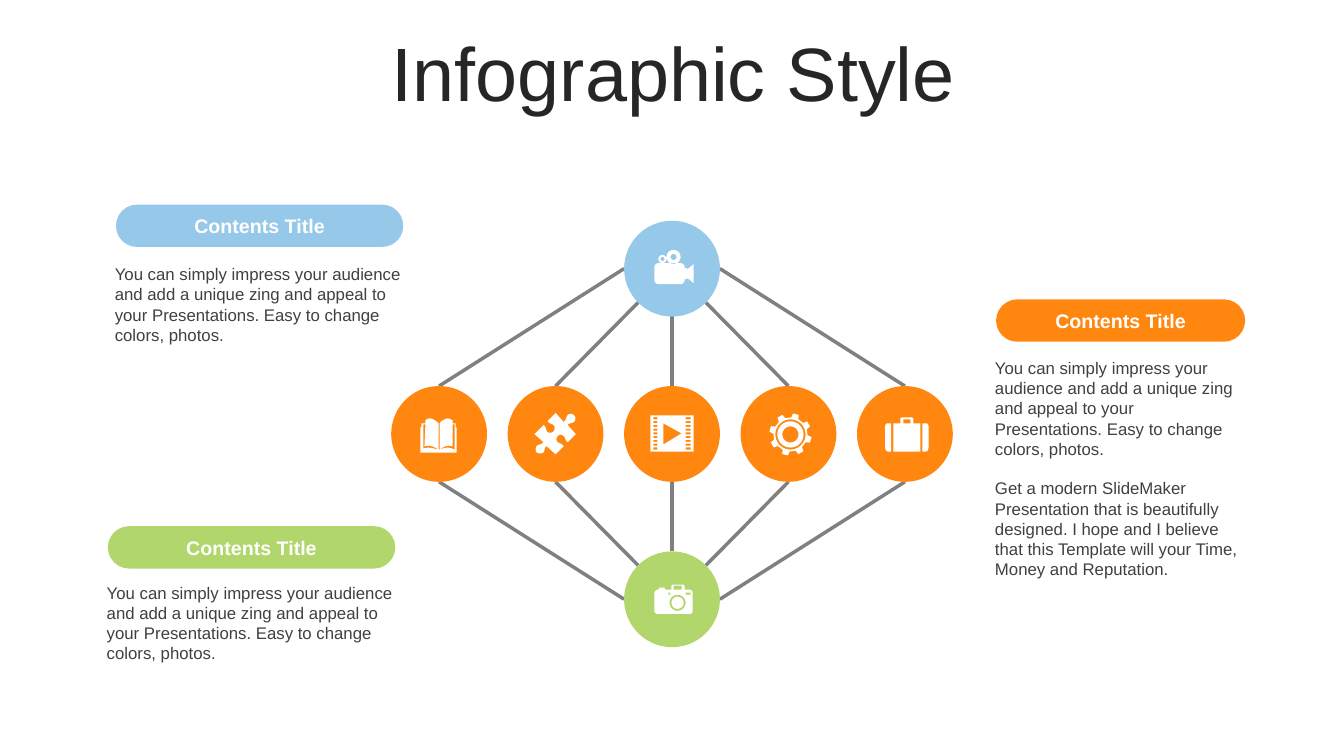
from dataclasses import dataclass
from math import cos, radians, sin

from lxml.etree import SubElement
from pptx import Presentation
from pptx.dml.color import RGBColor
from pptx.enum.shapes import MSO_CONNECTOR, MSO_SHAPE
from pptx.enum.text import MSO_ANCHOR, MSO_AUTO_SIZE, PP_ALIGN
from pptx.oxml.ns import qn
from pptx.util import Inches, Pt

COLORS = {"title": "262626", "body": "404040", "line": "808080", "white": "FFFFFF",
          "blue": "96C8E9", "orange": "FF870F", "green": "B0D66C"}
Point = tuple[float, float]
Contour = list[Point]


@dataclass
class Panel:
    left: float
    top: float
    width: float
    body_top: float
    body_width: float
    body_height: float
    color: str
    paragraphs: list[str]


@dataclass
class Icon:
    contours: list[Contour]
    rotation: int = 0


# Text and fill helpers
def rgb(name: str) -> RGBColor:
    return RGBColor.from_string(COLORS[name])


def write(frame, paragraphs: list[str], *, size: float, color: str, bold: bool = False,
          align=PP_ALIGN.LEFT, anchor=MSO_ANCHOR.TOP, gap: float = 0,
          line_spacing: float = 1.0) -> None:
    frame.word_wrap = True
    frame.auto_size = MSO_AUTO_SIZE.NONE
    frame.vertical_anchor = anchor
    for index, text in enumerate(paragraphs):
        para = frame.add_paragraph() if index else frame.paragraphs[0]
        para.alignment = align
        para.line_spacing = line_spacing
        para.space_before = Pt(gap if index else 0)
        span = para.add_run()
        span.text = text
        span.font.name = "Arial"
        span.font.size = Pt(size)
        span.font.bold = bold
        span.font.color.rgb = rgb(color)


def paint(shape, color: str) -> None:
    shape.shadow.inherit = False
    shape.fill.solid()
    shape.fill.fore_color.rgb = rgb(color)
    shape.line.fill.background()


# Contours, in page inches
def rectangle(left: float, top: float, right: float, bottom: float) -> Contour:
    return [(left, top), (right, top), (right, bottom), (left, bottom)]


def polar(x: float, y: float, radius: float, degrees: float) -> Point:
    return x + radius * cos(radians(degrees)), y + radius * sin(radians(degrees))


def circle(x: float, y: float, radius: float) -> Contour:
    return [polar(x, y, radius, degrees) for degrees in range(0, 360, 10)]


def outline(*steps: tuple[float, ...]) -> Contour:
    """Two numbers make a straight step, six a Bézier curve."""
    points: Contour = []
    for step in steps:
        if len(step) == 2:
            points.append(step)
            continue
        corners = [points[-1], step[:2], step[2:4], step[4:]]
        for part in range(1, 7):
            t = part / 6
            weights = ((1 - t) ** 3, 3 * t * (1 - t) ** 2, 3 * t * t * (1 - t), t ** 3)
            points.append(tuple(sum(w * corner[axis] for w, corner in zip(weights, corners))
                                for axis in (0, 1)))
    return points


def gear(x: float, y: float) -> Contour:
    return [polar(x, y, radius, -75 + 45 * tooth + offset) for tooth in range(8)
            for radius, offset in ((0.17, -12), (0.21, -8), (0.21, 8), (0.17, 12))]


def turn_back(point: Point, center: Point, degrees: float) -> Point:
    dx, dy = point[0] - center[0], point[1] - center[1]
    c, s = cos(radians(degrees)), sin(radians(degrees))
    return center[0] + dx * c + dy * s, center[1] - dx * s + dy * c


# Drawing functions
def draw_icon(page, icon: Icon) -> None:
    xs, ys = zip(*(point for contour in icon.contours for point in contour))
    center = ((min(xs) + max(xs)) / 2, (min(ys) + max(ys)) / 2)
    # The builder keeps whole numbers only, so points go in as EMU
    contours = [[tuple(map(Inches, turn_back(point, center, icon.rotation))) for point in contour]
                for contour in icon.contours]
    builder = page.shapes.build_freeform(*contours[0][0])
    for index, contour in enumerate(contours):
        if index:
            builder.move_to(*contour[0])
        builder.add_line_segments(contour[1:], close=True)
    shape = builder.convert_to_shape()
    shape.rotation = icon.rotation
    paint(shape, "white")


def draw_line(page, start: Point, end: Point) -> None:
    line = page.shapes.add_connector(MSO_CONNECTOR.STRAIGHT, *map(Inches, start + end))
    line.line.color.rgb = rgb("line")
    line.line.width = Pt(2.5)
    SubElement(line._element.spPr, qn("a:effectLst"))


def draw_node(page, left: float, top: float, color: str) -> None:
    paint(page.shapes.add_shape(MSO_SHAPE.OVAL, *map(Inches, (left, top, NODE, NODE))), color)


def draw_panel(page, panel: Panel) -> None:
    pill = page.shapes.add_shape(MSO_SHAPE.ROUNDED_RECTANGLE, *map(
        Inches, (panel.left, panel.top, panel.width, 0.42)))
    pill.adjustments[0] = 0.5
    paint(pill, panel.color)
    write(pill.text_frame, ["Contents Title"], size=14, color="white", bold=True,
          align=PP_ALIGN.CENTER, anchor=MSO_ANCHOR.MIDDLE)
    box = page.shapes.add_textbox(*map(Inches, (
        panel.left - 0.11, panel.body_top, panel.body_width, panel.body_height)))
    write(box.text_frame, panel.paragraphs, size=12, color="body", gap=14)


# Content
NODE = 0.95
HUB_LEFT, TOP_HUB, ROW_TOP, BOTTOM_HUB = 6.19, 2.19, 3.83, 5.47
ROW_LEFTS = [3.88 + column * (8.5 - 3.88) / 4 for column in range(5)]
IMPRESS = ("You can simply impress your audience and add a unique zing and appeal to your "
           "Presentations. Easy to change colors, photos.")
MODERN = ("Get a modern SlideMaker Presentation that is beautifully designed. I hope and I "
          "believe that this Template will your Time, Money and Reputation.")
PANELS = [Panel(1.07, 5.22, 2.85, 5.73, 3.08, 0.91, "green", [IMPRESS]),
          Panel(1.15, 2.03, 2.85, 2.57, 3.08, 0.91, "blue", [IMPRESS]),
          Panel(9.88, 2.97, 2.47, 3.5, 2.66, 2.12, "orange", [IMPRESS, MODERN])]

PHOTO_CAMERA = Icon([
    circle(6.72, 5.98, 0.06), circle(6.72, 5.98, 0.08), rectangle(6.63, 5.88, 6.65, 5.9),
    rectangle(6.8, 5.88, 6.85, 5.9), rectangle(6.68, 5.81, 6.76, 5.85),
    outline((6.67, 5.8), (6.78, 5.8), (6.79, 5.81), (6.79, 5.85), (6.84, 5.85),
            (6.86, 5.85, 6.87, 5.87, 6.87, 5.88), (6.87, 6.06),
            (6.87, 6.08, 6.86, 6.09, 6.84, 6.09), (6.52, 6.09),
            (6.51, 6.09, 6.49, 6.08, 6.49, 6.06), (6.49, 5.88),
            (6.49, 5.87, 6.51, 5.85, 6.52, 5.85), (6.53, 5.85), (6.54, 5.83), (6.59, 5.83),
            (6.6, 5.85), (6.66, 5.85), (6.66, 5.81))])
FILM_CAMERA = Icon([
    circle(6.57, 2.57, 0.04), circle(6.57, 2.57, 0.02), circle(6.68, 2.55, 0.07),
    circle(6.68, 2.55, 0.03),
    outline((6.53, 2.61), (6.75, 2.61), (6.77, 2.61, 6.79, 2.63, 6.79, 2.65), (6.79, 2.66),
            (6.81, 2.66), (6.82, 2.67), (6.88, 2.62), (6.88, 2.81), (6.82, 2.76), (6.81, 2.77),
            (6.79, 2.77), (6.79, 2.78), (6.79, 2.8, 6.77, 2.82, 6.75, 2.82), (6.53, 2.82),
            (6.51, 2.82, 6.49, 2.8, 6.49, 2.78), (6.49, 2.65),
            (6.49, 2.63, 6.51, 2.61, 6.53, 2.61))])
PUZZLE = Icon([outline(
    (5.69, 4.12), (5.71, 4.14, 5.71, 4.16, 5.7, 4.18), (5.68, 4.21, 5.65, 4.19, 5.63, 4.22),
    (5.71, 4.31), (5.63, 4.39), (5.6, 4.37, 5.61, 4.34, 5.59, 4.33),
    (5.57, 4.31, 5.55, 4.31, 5.53, 4.33), (5.52, 4.34, 5.51, 4.37, 5.53, 4.39),
    (5.56, 4.41, 5.57, 4.4, 5.59, 4.43), (5.51, 4.51), (5.42, 4.43),
    (5.39, 4.45, 5.41, 4.46, 5.39, 4.49), (5.37, 4.51, 5.34, 4.5, 5.32, 4.49),
    (5.31, 4.48, 5.31, 4.45, 5.32, 4.43), (5.34, 4.41, 5.36, 4.42, 5.39, 4.39), (5.3, 4.31),
    (5.39, 4.22), (5.42, 4.24, 5.41, 4.27, 5.43, 4.29), (5.45, 4.3, 5.48, 4.3, 5.49, 4.28),
    (5.5, 4.27, 5.51, 4.24, 5.49, 4.22), (5.46, 4.2, 5.45, 4.21, 5.43, 4.18), (5.51, 4.1),
    (5.59, 4.19), (5.62, 4.16, 5.61, 4.15, 5.63, 4.12),
    (5.65, 4.1, 5.68, 4.11, 5.69, 4.12))], rotation=45)
BOOK = Icon([outline(
    (4.35, 4.46), (4.36, 4.46), (4.42, 4.44, 4.44, 4.43, 4.51, 4.46), (4.51, 4.21), (4.49, 4.21),
    (4.49, 4.43), (4.45, 4.41, 4.4, 4.43, 4.36, 4.46), (4.36, 4.2),
    (4.38, 4.17, 4.41, 4.16, 4.44, 4.15), (4.45, 4.15, 4.47, 4.16, 4.49, 4.17), (4.49, 4.2),
    (4.52, 4.2), (4.52, 4.24), (4.53, 4.24), (4.53, 4.49), (4.17, 4.49), (4.17, 4.24),
    (4.18, 4.24), (4.18, 4.2), (4.22, 4.2), (4.22, 4.17), (4.23, 4.16, 4.25, 4.15, 4.27, 4.15),
    (4.3, 4.16, 4.32, 4.17, 4.35, 4.2), (4.35, 4.46), (4.3, 4.43, 4.26, 4.41, 4.21, 4.43),
    (4.22, 4.21), (4.2, 4.21), (4.2, 4.45), (4.26, 4.43, 4.29, 4.45, 4.35, 4.46))])
FILM_HOLES = [rectangle(left, top, right, top + 0.02) for left, right in ((6.48, 6.52), (6.8, 6.85))
              for top in (4.14 + row * 0.3 / 8 for row in range(9))]
FILM = Icon([rectangle(6.45, 4.12, 6.88, 4.48), [(6.58, 4.2), (6.58, 4.41), (6.76, 4.3)],
             *FILM_HOLES])
SUITCASE = Icon([
    outline((9.15, 4.2), (9.18, 4.2), (9.2, 4.2, 9.21, 4.21, 9.21, 4.23), (9.21, 4.44),
            (9.21, 4.46, 9.2, 4.48, 9.18, 4.48), (9.15, 4.48)),
    outline((8.84, 4.2), (8.84, 4.48), (8.81, 4.48), (8.79, 4.48, 8.78, 4.46, 8.78, 4.44),
            (8.78, 4.23), (8.78, 4.21, 8.79, 4.2, 8.81, 4.2)),
    rectangle(8.96, 4.16, 9.03, 4.2),
    outline((8.95, 4.14), (9.04, 4.14), (9.06, 4.15), (9.06, 4.2), (9.13, 4.2), (9.13, 4.48),
            (8.86, 4.48), (8.86, 4.2), (8.93, 4.2), (8.93, 4.15))])
GEAR = Icon([gear(7.84, 4.31), *(circle(7.84, 4.31, radius) for radius in (0.15, 0.13, 0.08))])


def main() -> None:
    deck = Presentation()
    deck.slide_width, deck.slide_height = Inches(13.33), Inches(7.5)
    page = deck.slides.add_slide(deck.slide_layouts[5])
    # Title
    title = page.shapes.title
    title.left, title.top, title.width, title.height = map(Inches, (0.35, 0.37, 12.66, 0.79))
    write(title.text_frame, ["Infographic Style"], size=54, color="title",
          align=PP_ALIGN.CENTER, anchor=MSO_ANCHOR.MIDDLE, line_spacing=0.9)
    # Lines fan out from each hub to the row, then the nodes cover their ends
    radius = NODE / 2
    for hub_top, row_edge, side in ((TOP_HUB, ROW_TOP, 1), (BOTTOM_HUB, ROW_TOP + NODE, -1)):
        for column, left in enumerate(ROW_LEFTS):
            hub_end = polar(HUB_LEFT + radius, hub_top + radius, radius, side * (180 - 45 * column))
            draw_line(page, (left + radius, row_edge), hub_end)
    for left in ROW_LEFTS:
        draw_node(page, left, ROW_TOP, "orange")
    draw_node(page, HUB_LEFT, TOP_HUB, "blue")
    draw_node(page, HUB_LEFT, BOTTOM_HUB, "green")
    # Text panels and icons
    for panel in PANELS:
        draw_panel(page, panel)
    for icon in (PHOTO_CAMERA, FILM_CAMERA, PUZZLE, BOOK, FILM, SUITCASE, GEAR):
        draw_icon(page, icon)
    deck.save("out.pptx")


if __name__ == "__main__":
    main()
